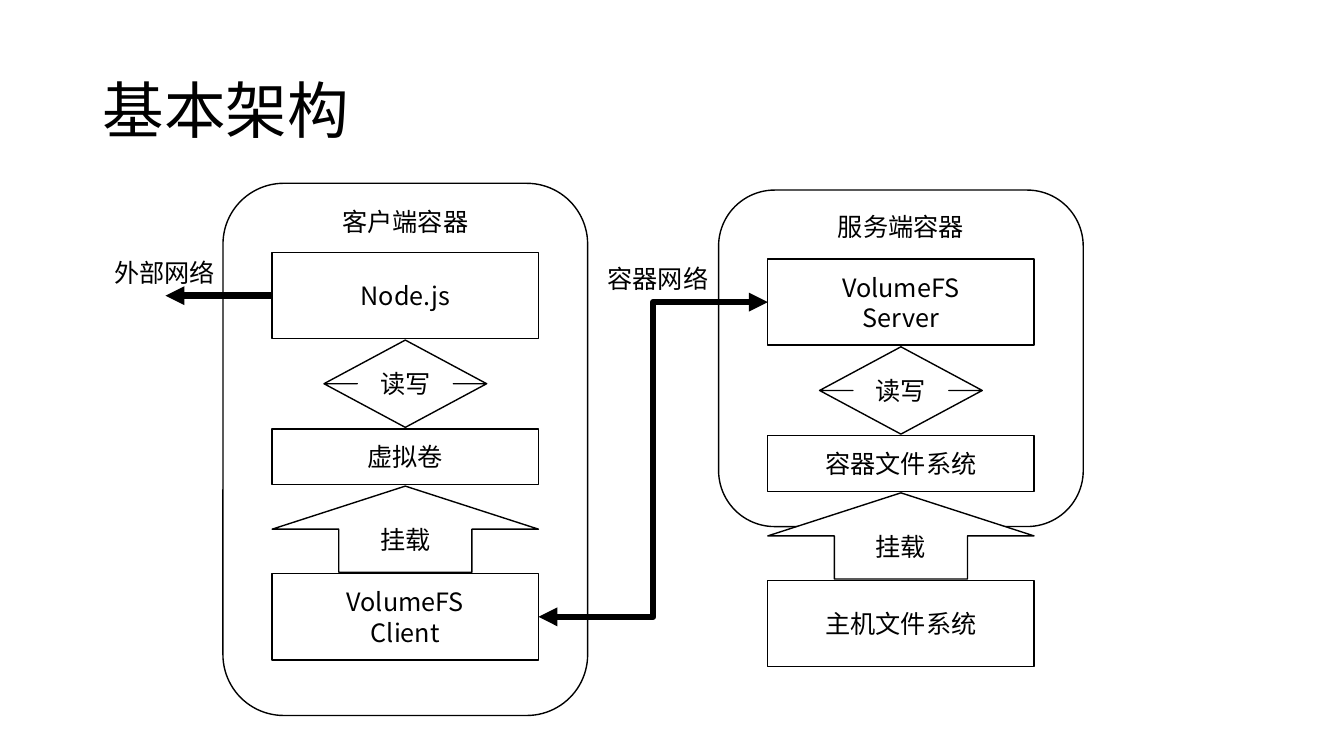
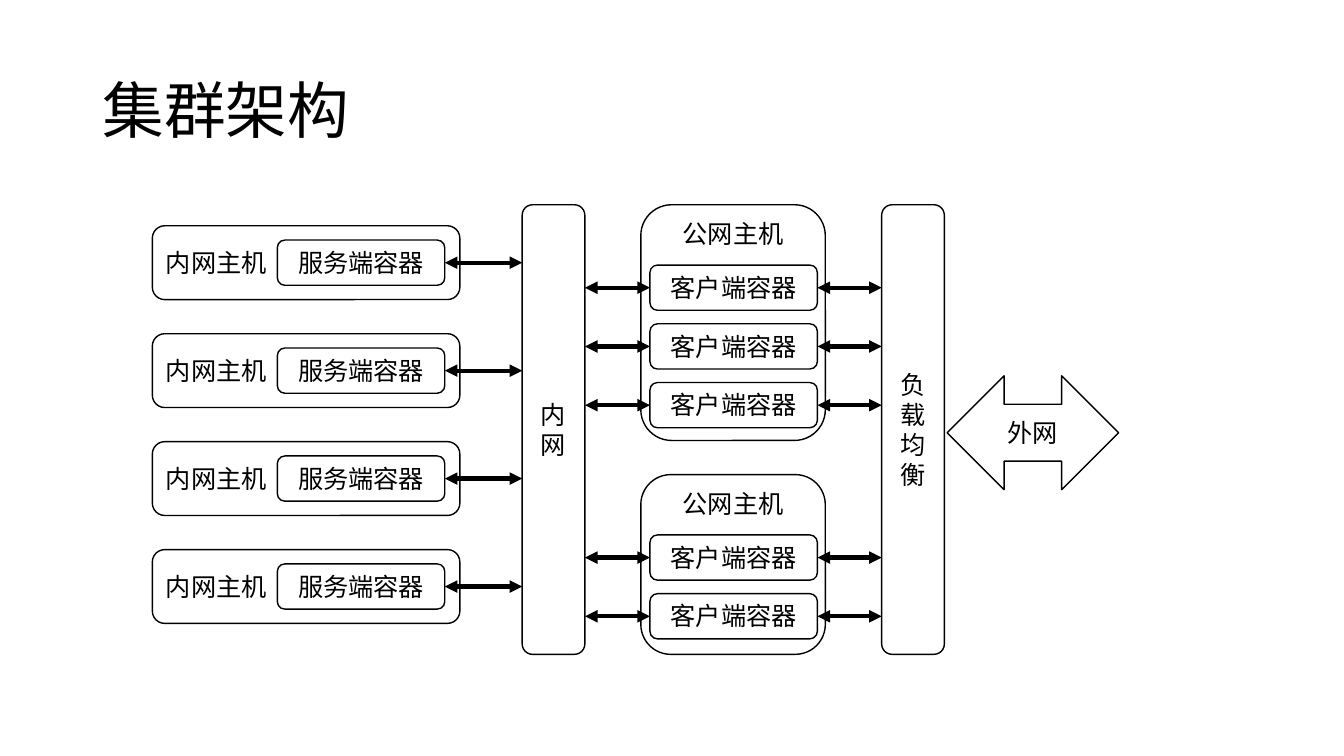
from lxml import etree
from pptx import Presentation
from pptx.dml.color import RGBColor
from pptx.enum import shapes, text
from pptx.oxml.ns import qn
from pptx.util import Cm, Pt

FONT = "Noto Sans CJK SC"
INK = "000000"
PAPER = "FFFFFF"
SHAPE = shapes.MSO_SHAPE
CENTER = text.PP_ALIGN.CENTER
LEFT = text.PP_ALIGN.LEFT
TOP = text.MSO_ANCHOR.TOP
MIDDLE = text.MSO_ANCHOR.MIDDLE


def color(value):
    return RGBColor.from_string(value)


# Text
def add_run(p, words, size):
    r = p.add_run()
    r.text = words
    r.font.size = Pt(size)
    r.font.name = FONT
    r.font.color.rgb = color(INK)
    etree.SubElement(r.font._element, qn("a:ea"), typeface=FONT)


def write(tf, words, size=18, align=CENTER, anchor=MIDDLE):
    tf.vertical_anchor = anchor
    for i, line in enumerate(words.split("\n")):
        p = tf.paragraphs[0] if i == 0 else tf.add_paragraph()
        p.alignment = align
        add_run(p, line, size)


def add_label(slide, words, x, y):
    sp = slide.shapes.add_textbox(Cm(x), Cm(y), Cm(3.07), Cm(1.02))
    write(sp.text_frame, words, align=LEFT, anchor=TOP)
    sp.text_frame.word_wrap = False


# Outlined shapes
def add_box(slide, kind, words, x, y, w, h, align=CENTER, anchor=MIDDLE):
    sp = slide.shapes.add_shape(kind, Cm(x), Cm(y), Cm(w), Cm(h))
    sp.shadow.inherit = False
    sp.fill.solid()
    sp.fill.fore_color.rgb = color(PAPER)
    sp.line.color.rgb = color(INK)
    sp.line.width = Pt(1)
    write(sp.text_frame, words, align=align, anchor=anchor)
    return sp


# Arrows
def add_arrow(slide, x1, y1, x2, y2, width=3, both=True,
              kind=shapes.MSO_CONNECTOR.STRAIGHT):
    c = slide.shapes.add_connector(kind, Cm(x1), Cm(y1), Cm(x2), Cm(y2))
    c.line.color.rgb = color(INK)
    c.line.width = Pt(width)
    ln = c.line._get_or_add_ln()
    for end in ("a:headEnd", "a:tailEnd") if both else ("a:tailEnd",):
        etree.SubElement(ln, qn(end), type="triangle")
    etree.SubElement(ln.getparent(), qn("a:effectLst"))
    return c


# Slides
def set_up_layout(prs):
    layout = prs.slide_layouts[5]
    title = layout.placeholders[0]
    title.left, title.top = Cm(2.33), Cm(1.01)
    title.width, title.height = Cm(29.21), Cm(3.68)
    return layout


def new_slide(prs, layout, title):
    slide = prs.slides.add_slide(layout)
    tf = slide.shapes.title.text_frame
    tf.auto_size = text.MSO_AUTO_SIZE.NONE
    write(tf, title, size=44, align=LEFT)
    tf.paragraphs[0].line_spacing = 0.9
    return slide


def add_stack(slide, container, x, y, h, labels):
    """Draw a container and its stack of layers; return the layers."""
    add_box(slide, SHAPE.ROUNDED_RECTANGLE, container, x, y, 9.19, h, anchor=TOP)
    layers = [(SHAPE.RECTANGLE, 6.71, 2.17), (SHAPE.UP_DOWN_ARROW, 4.1, 2.2),
              (SHAPE.RECTANGLE, 6.71, 1.4), (SHAPE.UP_ARROW, 6.71, 2.17),
              (SHAPE.RECTANGLE, 6.71, 2.17)]
    drawn = []
    y += 1.74
    for (kind, width, height), words in zip(layers, labels):
        sp = add_box(slide, kind, words, x + (9.19 - width) / 2, y, width, height)
        if kind == SHAPE.UP_DOWN_ARROW:
            # Head length, then shaft width
            sp.adjustments[0] = 0.32
            sp.adjustments[1] = 0.59
        drawn.append(sp)
        y += height + 0.04
    return drawn


def basic_architecture(prs, layout):
    slide = new_slide(prs, layout, "基本架构")
    client = add_stack(slide, "客户端容器", 5.62, 4.62, 13.41,
                       ["Node.js", "读写", "虚拟卷", "挂载", "VolumeFS\nClient"])
    server = add_stack(slide, "服务端容器", 18.11, 4.79, 8.48,
                       ["VolumeFS\nServer", "读写", "容器文件系统", "挂载",
                        "主机文件系统"])
    # Networks: glued to the right side of the client, left side of the server
    link = add_arrow(slide, 13.57, 15.55, 19.35, 7.62, width=4.5,
                     kind=shapes.MSO_CONNECTOR.ELBOW)
    link.begin_connect(client[-1], 3)
    link.end_connect(server[0], 1)
    add_label(slide, "容器网络", 15.06, 6.5)
    add_arrow(slide, 6.86, 7.45, 4.17, 7.45, width=4.5, both=False)
    add_label(slide, "外部网络", 2.63, 6.37)


def add_container(slide, words, x, y):
    add_box(slide, SHAPE.ROUNDED_RECTANGLE, words, x, y, 4.22, 1.14, anchor=TOP)


def add_private_host(slide, y):
    add_box(slide, SHAPE.ROUNDED_RECTANGLE, "内网主机", 3.84, y, 7.75, 1.86,
            align=LEFT)
    add_container(slide, "服务端容器", 6.99, y + 0.36)
    add_arrow(slide, 11.21, y + 0.93, 13.16, y + 0.93)


def add_public_host(slide, y, h, count):
    add_box(slide, SHAPE.ROUNDED_RECTANGLE, "公网主机", 16.15, y, 4.65, h,
            anchor=TOP)
    for i in range(count):
        row = y + 1.52 + i * 1.48
        add_container(slide, "客户端容器", 16.38, row)
        for start, end in ((14.74, 16.38), (20.6, 22.22)):
            add_arrow(slide, start, row + 0.57, end, row + 0.57)


def cluster_architecture(prs, layout):
    slide = new_slide(prs, layout, "集群架构")
    # Vertical bands
    for words, x in (("内网", 13.16), ("负载均衡", 22.22)):
        add_box(slide, SHAPE.ROUNDED_RECTANGLE, words, x, 5.16, 1.58, 11.33)
    # Hosts
    for i in range(4):
        add_private_host(slide, 5.69 + i * 2.72)
    add_public_host(slide, 5.16, 5.94, 3)
    add_public_host(slide, 11.96, 4.53, 2)
    # Outside network
    add_box(slide, SHAPE.LEFT_RIGHT_ARROW, "外网", 23.87, 9.47, 4.32, 2.87)


def main():
    prs = Presentation()
    prs.slide_width, prs.slide_height = Cm(33.87), Cm(19.05)
    layout = set_up_layout(prs)
    basic_architecture(prs, layout)
    cluster_architecture(prs, layout)
    prs.save("out.pptx")


main()
